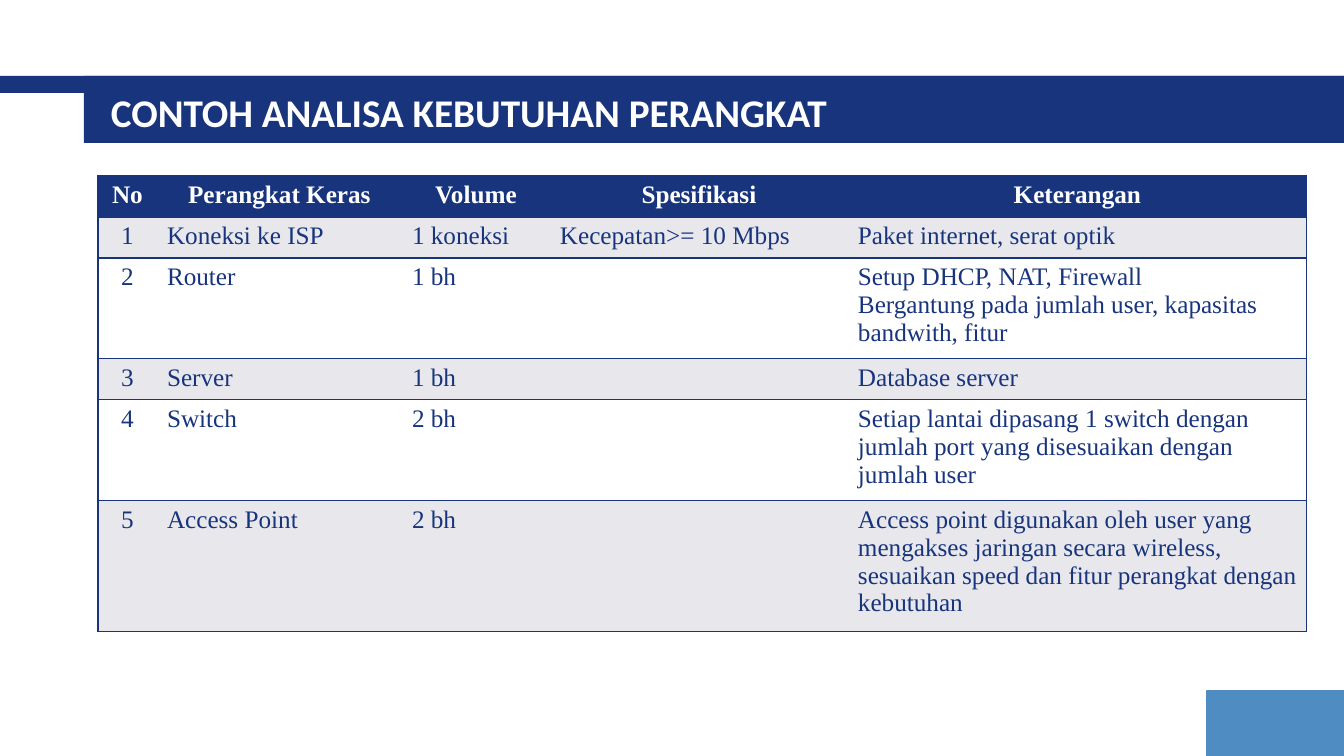
from lxml import etree
from pptx import Presentation
from pptx import util as u
from pptx.dml.color import RGBColor
from pptx.enum import shapes, text
from pptx.oxml.ns import qn

EMU_PER_PX = 914400 / 100.8
COLORS = {"navy": "17347D", "blue": "4F8CC2", "white": "FFFFFF", "band": "E8E8EC"}
COLUMN_WIDTHS = [59, 245, 148, 298, 459]
ROW_HEIGHTS = [41, 41, 94, 41, 94, 122]
ROWS = [
    ["No", "Perangkat Keras", "Volume", "Spesifikasi", "Keterangan"],
    ["1", "Koneksi ke ISP", "1 koneksi", "Kecepatan>= 10 Mbps", "Paket internet, serat optik"],
    ["2", "Router", "1 bh", "",
     "Setup DHCP, NAT, Firewall\nBergantung pada jumlah user, kapasitas bandwith, fitur"],
    ["3", "Server", "1 bh", "", "Database server"],
    ["4", "Switch", "2 bh", "",
     "Setiap lantai dipasang 1 switch dengan jumlah port yang disesuaikan dengan jumlah user"],
    ["5", "Access Point", "2 bh", "",
     "Access point digunakan oleh user yang mengakses jaringan secara wireless, "
     "sesuaikan speed dan fitur perangkat dengan kebutuhan"],
]


def px(length):
    return u.Emu(round(length * EMU_PER_PX))


def color(name):
    return RGBColor.from_string(COLORS[name])


def style_paragraph(paragraph, font_name, size, color_name, bold):
    font = paragraph.font
    font.name = font_name
    font.size = u.Pt(size)
    font.bold = bold
    font.color.rgb = color(color_name)


def add_bar(slide, left, top, width, height, color_name):
    shape = slide.shapes.add_shape(
        shapes.MSO_SHAPE.RECTANGLE, px(left), px(top), px(width), px(height))
    shape.shadow.inherit = False
    shape.fill.solid()
    shape.fill.fore_color.rgb = color(color_name)
    shape.line.fill.background()
    return shape


def add_title(slide, title):
    frame = slide.shapes.add_textbox(px(101), px(81), px(1199), px(62)).text_frame
    frame.word_wrap = True
    frame.vertical_anchor = text.MSO_ANCHOR.MIDDLE
    frame.text = title
    style_paragraph(frame.paragraphs[0], "Calibri", 28, "white", True)


def set_borders(cell, visible_sides):
    properties = cell._tc.get_or_add_tcPr()
    for index, side in enumerate(["lnL", "lnR", "lnT", "lnB"]):
        line = etree.Element(qn(f"a:{side}"), w=str(u.Pt(1)))
        if side in visible_sides:
            fill = etree.SubElement(line, qn("a:solidFill"))
            etree.SubElement(fill, qn("a:srgbClr"), val=COLORS["navy"])
        else:
            etree.SubElement(line, qn("a:noFill"))
        properties.insert(index, line)


def fill_cell(cell, content, row, column):
    is_header = row == 0
    cell.fill.solid()
    cell.fill.fore_color.rgb = color("navy" if is_header else "band" if row % 2 else "white")
    cell.text = content
    for paragraph in cell.text_frame.paragraphs:
        if is_header or column == 0:
            paragraph.alignment = text.PP_ALIGN.CENTER
        style_paragraph(paragraph, "Times New Roman", 18,
                        "white" if is_header else "navy", is_header)
    sides = {"lnT", "lnB"}
    if column == 0:
        sides.add("lnL")
    if column == len(COLUMN_WIDTHS) - 1:
        sides.add("lnR")
    set_borders(cell, sides)


def add_device_table(slide):
    table = slide.shapes.add_table(
        len(ROWS), len(COLUMN_WIDTHS), px(98), px(176),
        px(sum(COLUMN_WIDTHS)), px(sum(ROW_HEIGHTS))).table
    for column, width in zip(table.columns, COLUMN_WIDTHS):
        column.width = px(width)
    for row, height in zip(table.rows, ROW_HEIGHTS):
        row.height = px(height)
    for row, contents in enumerate(ROWS):
        for column, content in enumerate(contents):
            fill_cell(table.cell(row, column), content, row, column)


def main():
    presentation = Presentation()
    presentation.slide_width = px(1344)
    presentation.slide_height = px(756)
    slide = presentation.slides.add_slide(presentation.slide_layouts[6])
    add_bar(slide, 0, 76, 1344, 17, "navy")
    add_bar(slide, 84, 76, 1260, 67, "navy")
    corner = add_bar(slide, 1207, 691, 137, 65, "blue")
    corner.line.color.rgb = color("blue")
    corner.line.width = u.Pt(2)
    add_title(slide, "CONTOH ANALISA KEBUTUHAN PERANGKAT")
    add_device_table(slide)
    presentation.save("out.pptx")


if __name__ == "__main__":
    main()
